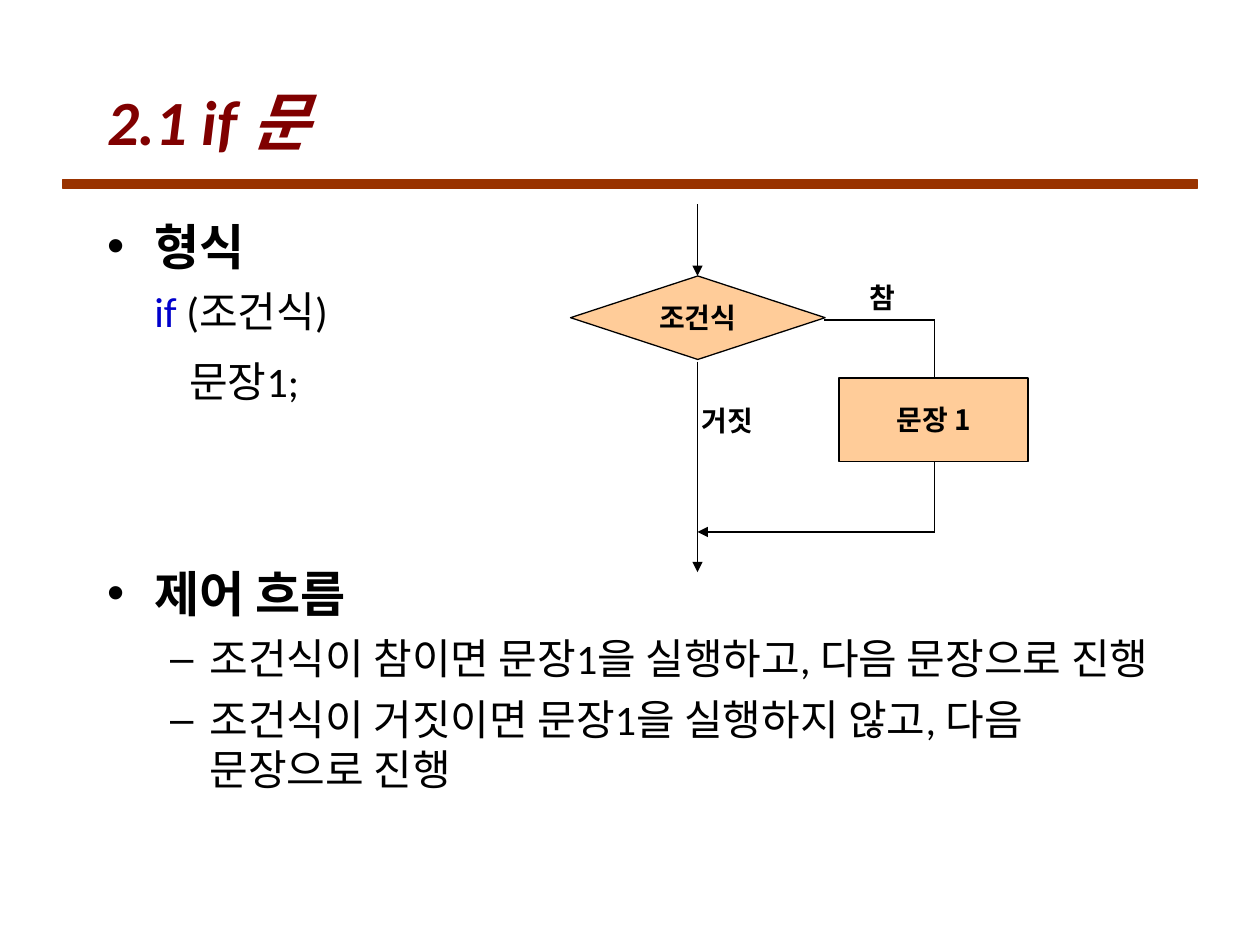
from lxml.etree import SubElement as Sub
from pptx import Presentation
from pptx.dml.color import RGBColor as Rgb
from pptx.enum.shapes import MSO_CONNECTOR as Conn, MSO_SHAPE as Kind
from pptx.enum.text import MSO_ANCHOR as Anchor, MSO_AUTO_SIZE as Fit, PP_ALIGN as Align
from pptx.oxml.ns import qn
from pptx.util import Pt

HEX = {"bar": "993300", "title": "800000", "key": "0000CC",
       "ink": "000000", "fill": "FFCC99"}
SANS, HANGUL = "Calibri", "Noto Sans CJK KR"


def color(name):
    return Rgb.from_string(HEX[name])


def write(para, text, size=16, font=HANGUL, ink="ink", bold=False, italic=False):
    run = para.add_run()
    run.text = text
    face = run.font
    face.size, face.name, face.bold, face.italic = Pt(size), font, bold, italic
    face.color.rgb = color(ink)
    # Hangul takes the East Asian face
    Sub(run._r.get_or_add_rPr(), qn("a:ea"), typeface=font)


class Page:
    def __init__(self, slide):
        self.slide = slide
        self.shapes = slide.shapes

    def place(self, item, x, y, w, h):
        item.left, item.top, item.width, item.height = map(Pt, (x, y, w, h))
        item.text_frame.auto_size = Fit.NONE

    def title(self, text, *box):
        item = self.shapes.title
        self.place(item, *box)
        item.text_frame.vertical_anchor = Anchor.MIDDLE
        para = item.text_frame.paragraphs[0]
        para.alignment = Align.LEFT
        write(para, text, 36, SANS, "title", bold=True, italic=True)

    def body(self, rows, *box):
        item = self.slide.placeholders[1]
        self.place(item, *box)
        frame = item.text_frame
        for num, (mark, left, hang, gap, size, parts) in enumerate(rows):
            para = frame.add_paragraph() if num else frame.paragraphs[0]
            para.level = 1 if mark == "–" else 0
            para.space_before = Pt(gap)
            props = para._p.get_or_add_pPr()
            props.set("marL", str(Pt(left)))
            props.set("indent", str(Pt(-hang)))
            if mark:
                Sub(props, qn("a:buChar"), char=mark)
            else:
                Sub(props, qn("a:buNone"))
            for text, ink in parts:
                write(para, text, size, SANS, ink, bold=size == 28)

    def block(self, kind, x, y, w, h, text="", fill="fill", line="ink"):
        item = self.shapes.add_shape(kind, *map(Pt, (x, y, w, h)))
        item.shadow.inherit = False
        item.fill.solid()
        item.fill.fore_color.rgb = color(fill)
        item.line.color.rgb = color(line)
        item.line.width = Pt(0.75)
        if text:
            frame = item.text_frame
            frame.word_wrap = False
            frame.vertical_anchor = Anchor.MIDDLE
            frame.paragraphs[0].alignment = Align.CENTER
            write(frame.paragraphs[0], text, bold=True)

    def label(self, text, x, y, w, h):
        frame = self.shapes.add_textbox(*map(Pt, (x, y, w, h))).text_frame
        frame.word_wrap = False
        write(frame.paragraphs[0], text, bold=True)

    def line(self, x1, y1, x2, y2, arrow=False):
        item = self.shapes.add_connector(Conn.STRAIGHT, *map(Pt, (x1, y1, x2, y2)))
        item.line.color.rgb = color("ink")
        item.line.width = Pt(0.75)
        if arrow:
            Sub(item.line._get_or_add_ln(), qn("a:tailEnd"), type="triangle")
        Sub(item._element.spPr, qn("a:effectLst"))


def main():
    deck = Presentation()
    deck.slide_width, deck.slide_height = Pt(720), Pt(540)
    page = Page(deck.slides.add_slide(deck.slide_layouts[1]))

    # Heading and rule
    page.block(Kind.RECTANGLE, 36, 102.4, 648, 5.4, fill="bar", line="bar")
    page.title("2.1 if 문", 54, 36, 612, 66)

    # Syntax and control flow: mark, left, hang, gap, size, parts
    page.body([
        ("•", 27, 27, 7, 28, [("형식", "ink")]),
        ("", 27, 0, 6, 24, [("if", "key"), (" (조건식)", "ink")]),
        ("", 47, 0, 11, 24, [("문장1;", "ink")]),
        ("•", 27, 27, 90, 28, [("제어 흐름", "ink")]),
        ("–", 58.5, 22.5, 6, 24,
         [("조건식이 참이면 문장1을 실행하고, 다음 문장으로 진행", "ink")]),
        ("–", 58.5, 22.5, 6, 24,
         [("조건식이 거짓이면 문장1을 실행하지 않고, 다음 문장으로 진행", "ink")]),
    ], 54, 120, 612, 372)

    # Flowchart: main path on the left, true branch on the right
    main_x, side_x, fork_y, join_y = 398.6, 534.2, 182.8, 304
    page.line(main_x, 116.8, main_x, 157.7, arrow=True)
    page.line(main_x, 206.6, main_x, 327, arrow=True)
    page.line(side_x, fork_y, side_x, join_y)
    page.line(471, fork_y, side_x, fork_y)
    page.line(side_x, join_y, main_x, join_y, arrow=True)
    page.block(Kind.FLOWCHART_DECISION, 326, 157.7, 145.5, 47.7, "조건식")
    page.block(Kind.FLOWCHART_PROCESS, 479.5, 216, 108, 47.7, "문장 1")
    page.label("거짓", 393.8, 226.8, 44, 26.6)
    page.label("참", 489.6, 157, 28.8, 26.6)

    deck.save("out.pptx")


if __name__ == "__main__":
    main()
